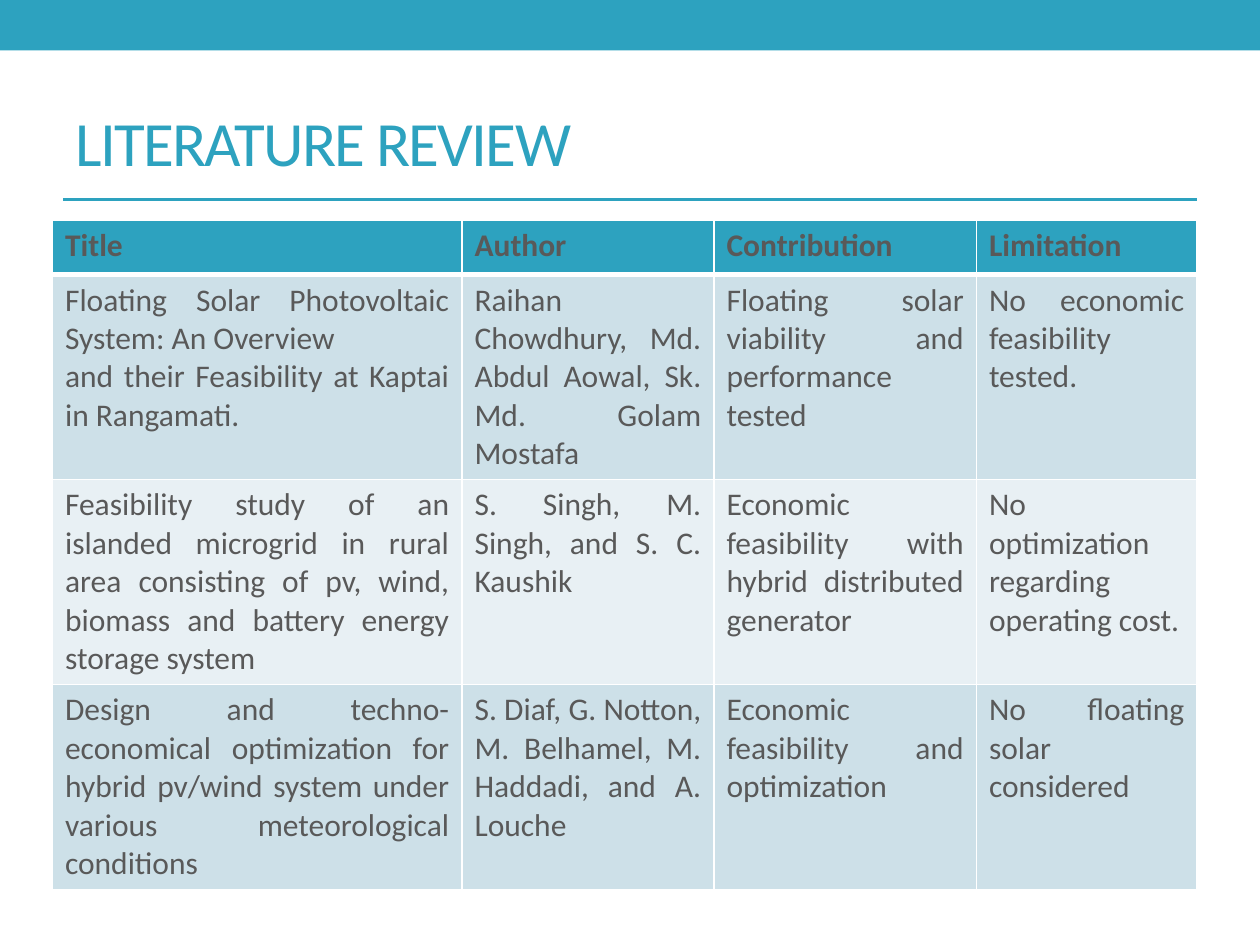
from dataclasses import dataclass

import pptx
import pptx.dml.color
import pptx.enum.shapes
import pptx.enum.text
import pptx.oxml.ns
import pptx.util
from lxml import etree

Pt = pptx.util.Pt
RGB = pptx.dml.color.RGBColor.from_string
ALIGN = pptx.enum.text.PP_ALIGN
qn = pptx.oxml.ns.qn


@dataclass(frozen=True)
class Theme:
    font: str = "Calibri"
    accent: str = "2DA2BF"
    text: str = "595959"
    border: str = "FFFFFF"
    bands: tuple = ("CDE0E8", "E8F0F4")
    title_size: int = 36
    body_size: int = 18


theme = Theme()


def add_borders(cell, widths):
    """Draw cell edges; widths maps L, R, T, B (in that order) to points."""
    tcPr = cell._tc.get_or_add_tcPr()
    for side, width in widths.items():
        ln = etree.SubElement(tcPr, qn(f"a:ln{side}"), w=str(Pt(width)))
        fill = etree.SubElement(ln, qn("a:solidFill"))
        etree.SubElement(fill, qn("a:srgbClr"), val=theme.border)


prs = pptx.Presentation()
prs.slide_width, prs.slide_height = Pt(720), Pt(540)
s = prs.slides.add_slide(prs.slide_layouts[5])

# Top band
band = s.shapes.add_shape(
    pptx.enum.shapes.MSO_SHAPE.RECTANGLE, 0, 0, prs.slide_width, Pt(28.8))
band.shadow.inherit = False
band.fill.solid()
band.fill.fore_color.rgb = RGB(theme.accent)
band.line.fill.background()

# Title
title = s.shapes.title
title.left, title.top, title.width, title.height = Pt(36), Pt(42), Pt(648), Pt(78)
tf = title.text_frame
tf.text = "LITERATURE REVIEW"
tf.vertical_anchor = pptx.enum.text.MSO_ANCHOR.MIDDLE
p = tf.paragraphs[0]
p.alignment = ALIGN.LEFT
p.font.name = theme.font
p.font.size = Pt(theme.title_size)
p.font.color.rgb = RGB(theme.accent)
p.runs[0]._r.get_or_add_rPr().set("spc", "-100")

# Literature table
rows = [
    ("Title", "Author", "Contribution", "Limitation"),
    ("Floating Solar Photovoltaic System: An Overview\n"
     "and their Feasibility at Kaptai in Rangamati.",
     "Raihan Chowdhury, Md. Abdul Aowal, Sk. Md. Golam Mostafa",
     "Floating solar viability and performance tested",
     "No economic feasibility tested."),
    ("Feasibility study of an islanded microgrid in rural area consisting of "
     "pv, wind, biomass and battery energy storage system",
     "S. Singh, M. Singh, and S. C. Kaushik",
     "Economic feasibility with hybrid distributed generator",
     "No optimization regarding operating cost."),
    ("Design and techno-economical optimization for hybrid pv/wind system "
     "under various meteorological conditions",
     "S. Diaf, G. Notton, M. Belhamel, M. Haddadi, and A. Louche",
     "Economic feasibility and optimization",
     "No floating solar considered"),
]
col_widths = (234, 144, 150, 126)
row_heights = (31, 117, 117, 117)
table = s.shapes.add_table(
    len(rows), len(col_widths), Pt(30), Pt(126),
    Pt(sum(col_widths)), Pt(sum(row_heights))).table
for column, width in zip(table.columns, col_widths):
    column.width = Pt(width)

for i, texts in enumerate(rows):
    table.rows[i].height = Pt(row_heights[i])
    header = i == 0
    fill = theme.accent if header else theme.bands[(i - 1) % 2]
    for j, text in enumerate(texts):
        cell = table.cell(i, j)
        add_borders(cell, {"L": 1, "R": 1, "T": 3 if i == 1 else 1,
                           "B": 3 if header else 1})
        cell.fill.solid()
        cell.fill.fore_color.rgb = RGB(fill)
        cell.text = text
        for p in cell.text_frame.paragraphs:
            p.alignment = ALIGN.JUSTIFY
            p.font.name = theme.font
            p.font.size = Pt(theme.body_size)
            p.font.bold = header
            p.font.color.rgb = RGB(theme.text)

# Rule under the title
rule = s.shapes.add_connector(
    pptx.enum.shapes.MSO_CONNECTOR.STRAIGHT, Pt(36), Pt(114), Pt(684), Pt(114))
rule.line.color.rgb = RGB(theme.accent)
rule.line.width = Pt(2.25)
etree.SubElement(rule._element.spPr, qn("a:effectLst"))

prs.save("out.pptx")
